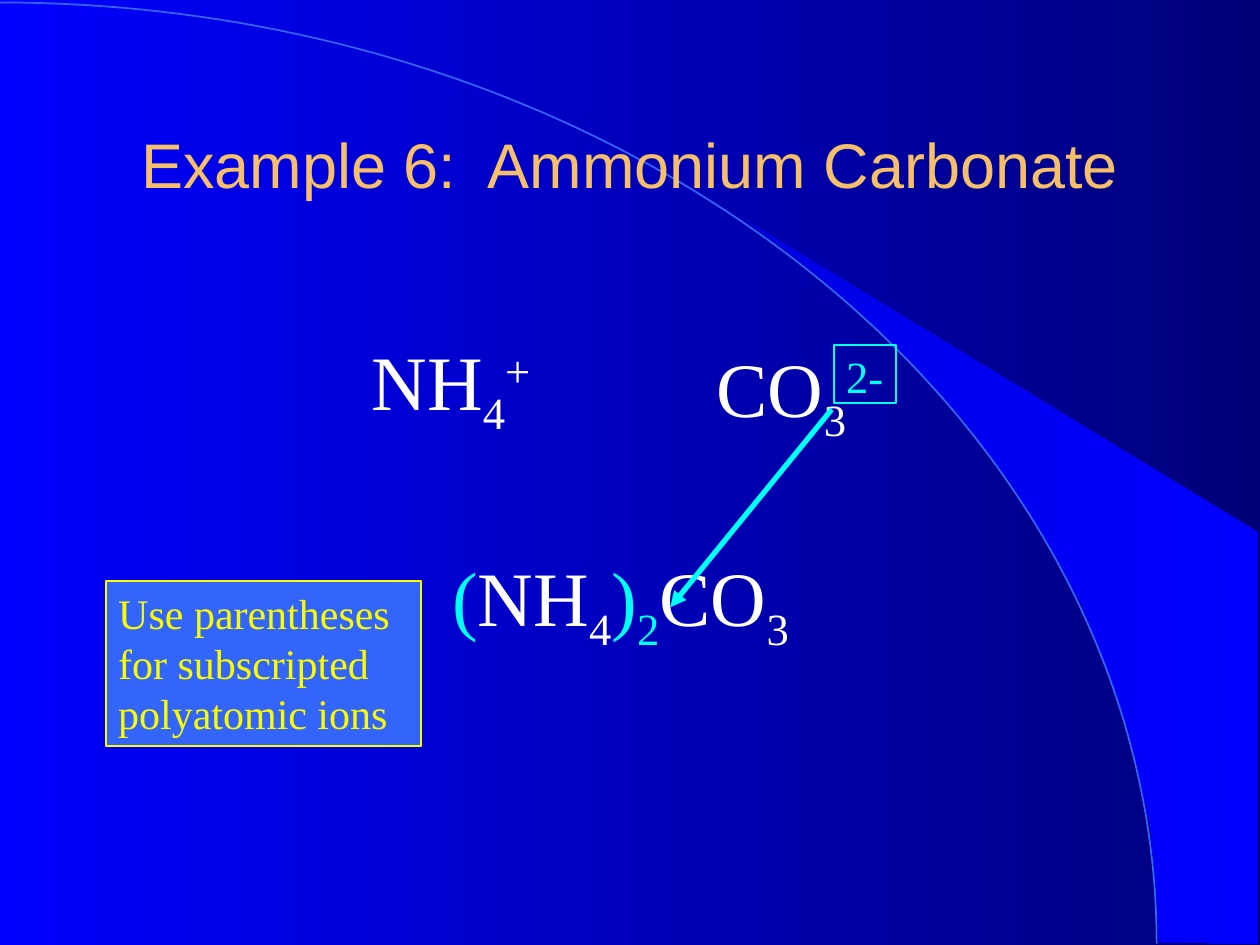
from math import cos, pi, sin

from lxml.etree import SubElement
from pptx import Presentation
from pptx.dml.color import RGBColor
from pptx.enum.shapes import MSO_CONNECTOR, MSO_SHAPE
from pptx.enum.text import MSO_ANCHOR, PP_ALIGN
from pptx.oxml.ns import qn
from pptx.util import Inches, Pt

BLUE = RGBColor(0x00, 0x00, 0xFF)
NAVY = RGBColor(0x00, 0x00, 0x78)
MID_BLUE = RGBColor(0x00, 0x00, 0xE5)
SKY = RGBColor(0x33, 0x65, 0xFB)
GOLD = RGBColor(0xF6, 0xBF, 0x69)
WHITE = RGBColor(0xFF, 0xFF, 0xFF)
CYAN = RGBColor(0x00, 0xFF, 0xFF)
YELLOW = RGBColor(0xFA, 0xFD, 0x00)

SUB, SUP = -25000, 30000
SERIF, SANS = "Times New Roman", "Arial"


class SlideBuilder:
    def __init__(self, slide):
        self.slide = slide
        self.shapes = slide.shapes

    def gradient(self, fill, start, end):
        fill.gradient()
        fill.gradient_angle = 0
        for stop, color in zip(fill.gradient_stops, (start, end)):
            stop.color.rgb = color

    def outline(self, sp, color, width=1):
        sp.line.color.rgb = color
        sp.line.width = Pt(width)

    def freeform(self, points, close):
        pts = [(Inches(x), Inches(y)) for x, y in points]
        builder = self.shapes.build_freeform(*pts[0])
        builder.add_line_segments(pts[1:], close=close)
        sp = builder.convert_to_shape()
        sp.shadow.inherit = False
        return sp

    def set_runs(self, sp, runs, size, font=SERIF, align=PP_ALIGN.LEFT, anchor=MSO_ANCHOR.TOP):
        """Each run is (text, color, baseline shift)."""
        tf = sp.text_frame
        tf.word_wrap = True
        tf.vertical_anchor = anchor
        p = tf.paragraphs[0]
        p.alignment = align
        p.font.size = Pt(size)
        p.font.name = font
        for text, color, shift in runs:
            r = p.add_run()
            r.text = text
            r.font.color.rgb = color
            if shift:
                r._r.get_or_add_rPr().set("baseline", str(shift))

    def text(self, x, y, w, h, runs, size=44, **style):
        sp = self.shapes.add_textbox(Inches(x), Inches(y), Inches(w), Inches(h))
        self.set_runs(sp, runs, size, **style)

    def box(self, x, y, w, h, line, fill=None):
        sp = self.shapes.add_shape(MSO_SHAPE.RECTANGLE, Inches(x), Inches(y), Inches(w), Inches(h))
        sp.shadow.inherit = False
        if fill is None:
            sp.fill.background()
        else:
            sp.fill.solid()
            sp.fill.fore_color.rgb = fill
        self.outline(sp, line)
        return sp

    def arrow(self, x1, y1, x2, y2, color, width):
        cxn = self.shapes.add_connector(
            MSO_CONNECTOR.STRAIGHT, Inches(x1), Inches(y1), Inches(x2), Inches(y2))
        self.outline(cxn, color, width)
        sp_pr = cxn._element.spPr
        SubElement(sp_pr.find(qn("a:ln")), qn("a:tailEnd"), type="triangle")
        SubElement(sp_pr, qn("a:effectLst"))


def main():
    prs = Presentation()
    prs.slide_width, prs.slide_height = Inches(10), Inches(7.5)
    s = SlideBuilder(prs.slides.add_slide(prs.slide_layouts[6]))

    # Background: gradient, bright wedge and quarter-ellipse arc
    s.gradient(s.slide.background.fill, BLUE, NAVY)
    wedge = s.freeform([
        (9.2, 7.48), (9.99, 7.49), (9.99, 4.23), (5.89, 1.73), (6.24, 1.99),
        (6.53, 2.22), (6.85, 2.5), (7.16, 2.8), (7.62, 3.3), (8.03, 3.84),
        (8.32, 4.31), (8.58, 4.79), (8.78, 5.28), (8.93, 5.72), (9.03, 6.09),
        (9.13, 6.56), (9.17, 6.96)], close=True)
    s.gradient(wedge.fill, MID_BLUE, BLUE)
    wedge.line.fill.background()

    steps = 90
    angles = [pi / 2 * i / steps for i in range(steps + 1)]
    arc = s.freeform([(9.18 * sin(a), 7.49 - 7.47 * cos(a)) for a in angles], close=False)
    arc.fill.background()
    s.outline(arc, SKY)

    # Title
    s.text(0.75, 0.67, 8.5, 1.25, [("Example 6:  Ammonium Carbonate", GOLD, 0)],
           size=36, font=SANS, align=PP_ALIGN.CENTER, anchor=MSO_ANCHOR.MIDDLE)

    # Ions and the resulting formula
    s.text(2.85, 2.6, 1.61, 0.83, [("NH", WHITE, 0), ("4", WHITE, SUB), ("+", WHITE, SUP)])
    s.text(5.59, 2.65, 1.66, 0.83, [("CO", WHITE, 0), ("3", WHITE, SUB), ("2-", CYAN, SUP)])
    s.text(3.4, 4.31, 3.05, 0.83, [
        ("(", CYAN, 0), ("NH", WHITE, 0), ("4", WHITE, SUB), (")", CYAN, 0),
        ("2", CYAN, SUB), ("CO", WHITE, 0), ("3", WHITE, SUB)], align=PP_ALIGN.CENTER)

    # Charge becomes the subscript
    s.box(6.62, 2.74, 0.49, 0.46, CYAN)
    s.arrow(6.6, 3.25, 5.32, 4.82, CYAN, 3)

    # Note
    note = s.box(0.84, 4.61, 2.5, 1.31, YELLOW, SKY)
    s.set_runs(note, [("Use parentheses for subscripted polyatomic ions", YELLOW, 0)], 24)

    prs.save("out.pptx")


if __name__ == "__main__":
    main()
